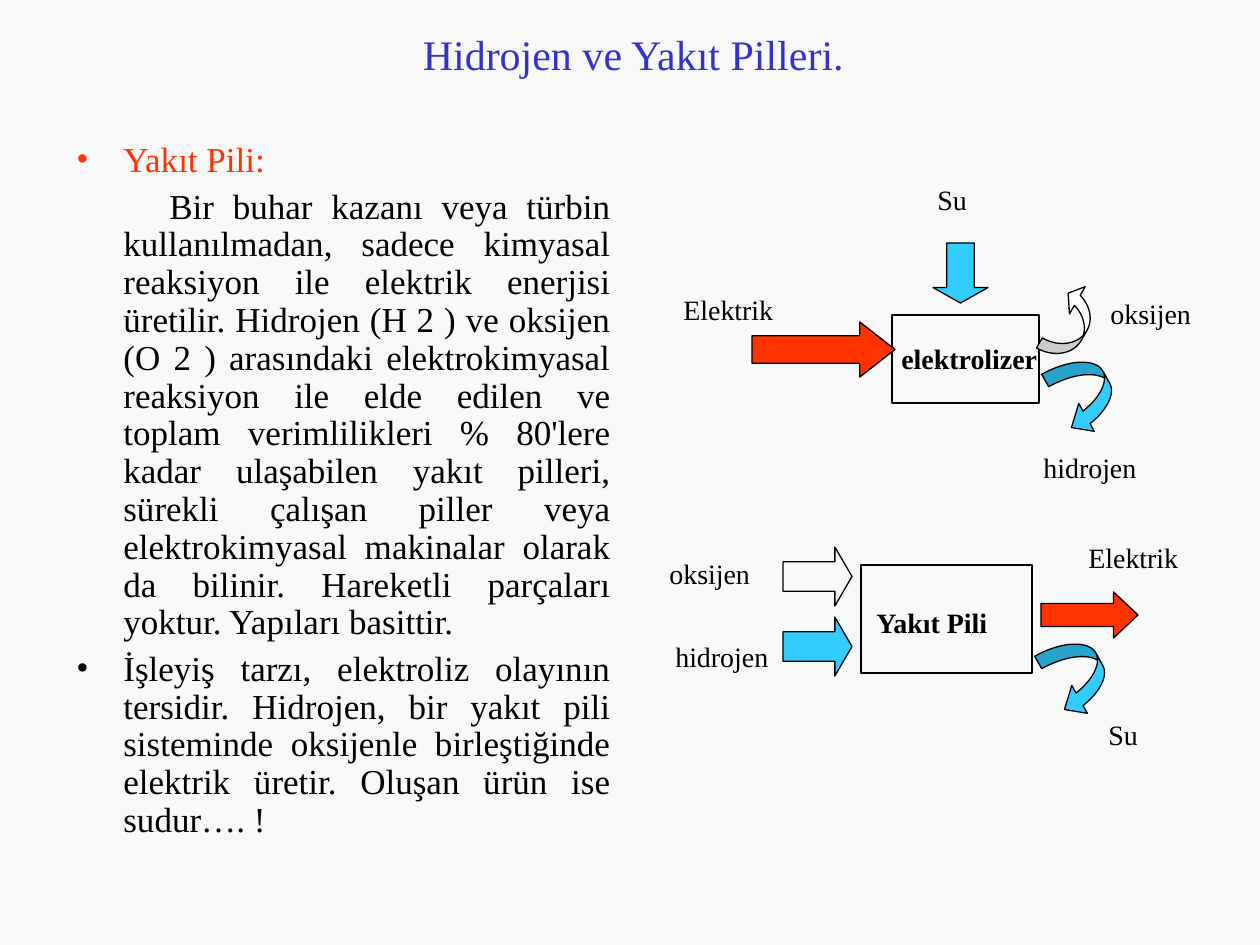
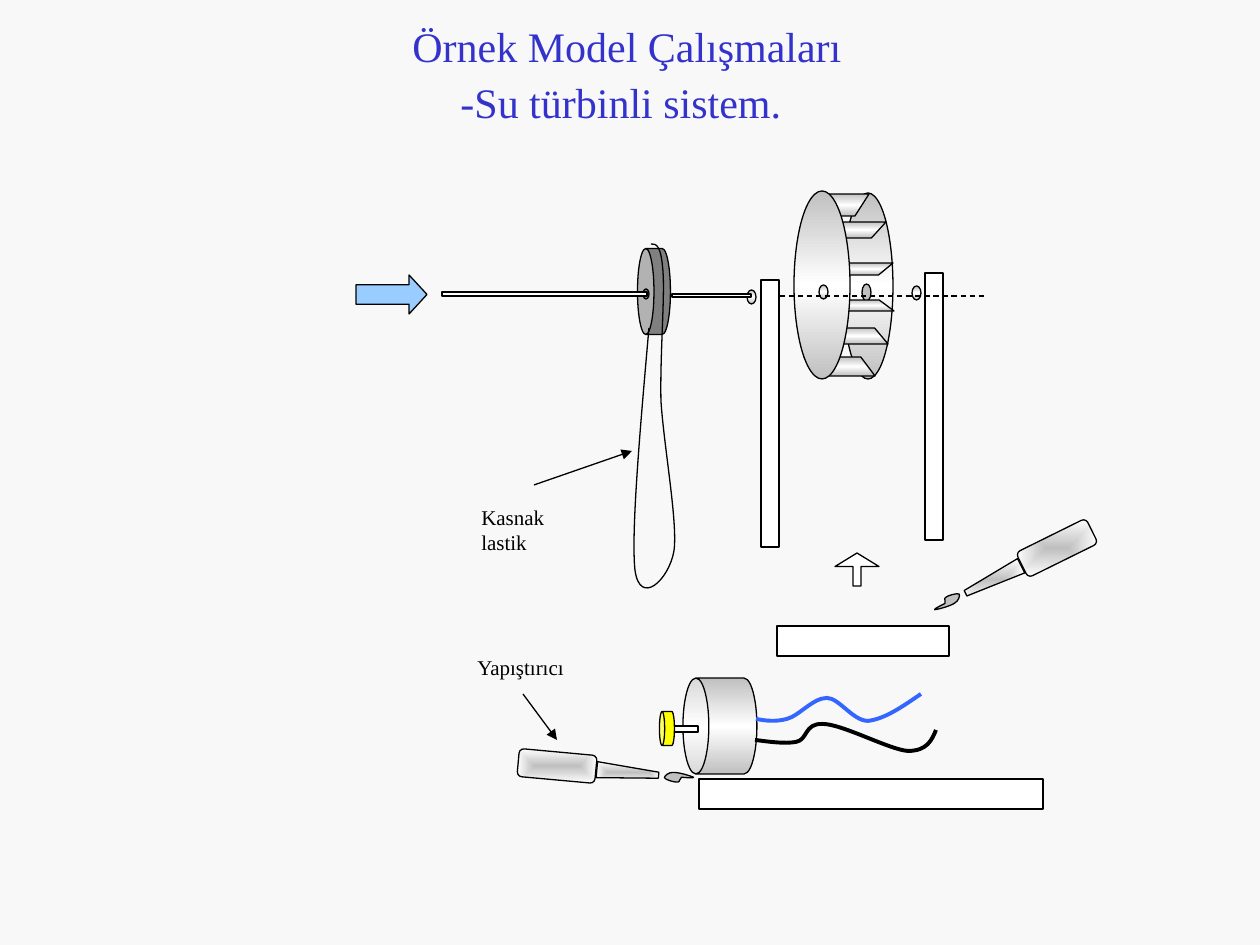
from dataclasses import dataclass
from math import cos, radians, sin
from typing import Any

from pptx import Presentation
from pptx import util as u
from pptx.dml.color import RGBColor
from pptx.enum import dml, shapes, text
from pptx.oxml import parse_xml
from pptx.oxml.ns import nsdecls, qn

SCALE = 914400 / 126
FONT = "Times New Roman"
PAPER = RGBColor(0xF8, 0xF8, 0xF8)
TITLE_BLUE = RGBColor(0x33, 0x33, 0xCC)
BLACK = RGBColor(0, 0, 0)
WHITE = RGBColor(0xFF, 0xFF, 0xFF)
RED = RGBColor(0xFF, 0x33, 0x00)
CYAN = RGBColor(0x33, 0xCC, 0xFF)
PALE_BLUE = RGBColor(0x99, 0xCC, 0xFF)
WIRE_BLUE = RGBColor(0x33, 0x66, 0xFF)
YELLOW = RGBColor(0xFF, 0xFF, 0x00)
SILVER = RGBColor(0xC0, 0xC0, 0xC0)
GREY = RGBColor(0x80, 0x80, 0x80)

KIND = shapes.MSO_SHAPE
METAL = ((0, SILVER), (50, WHITE), (100, SILVER)), '<a:lin ang="5400000" scaled="0"/>'
GLOW = ((0, SILVER), (100, WHITE)), (
    '<a:path path="rect"><a:fillToRect l="50000" t="50000" r="50000" b="50000"/></a:path>')

NOZZLE = [(8, -40), (-8, -40), (-3, -102), (3, -102)]
GLUE_DROP = [
    (-1, -137), (-2, -135, -5, -121, -4, -116), (-4, -112, 0, -108, 2, -108),
    (4, -109, 6, -119, 5, -122), (5, -124, 1, -123, 0, -125), (0, -128, 0, -138, -1, -137)]
BELT = [
    (311, 14), (316, 14, 321, 14, 323, 41), (325, 67, 320, 124, 321, 171),
    (324, 217, 338, 293, 334, 321), (329, 350, 300, 377, 295, 340),
    (291, 303, 300, 200, 309, 98)]
BLUE_WIRE = [
    (116, 59), (126, 61, 136, 62, 147, 59), (159, 56, 173, 38, 187, 38),
    (199, 38, 213, 61, 228, 61), (245, 59, 262, 47, 281, 34)]
BLACK_WIRE = [
    (115, 80), (130, 82, 145, 84, 156, 82), (168, 80, 164, 63, 183, 64),
    (202, 64, 250, 90, 268, 91), (287, 91, 292, 80, 296, 70)]

FUEL_CELL_TEXT = (
    "Bir buhar kazanı veya türbin kullanılmadan, sadece kimyasal reaksiyon ile elektrik "
    "enerjisi üretilir. Hidrojen (H 2 ) ve oksijen (O 2 ) arasındaki elektrokimyasal "
    "reaksiyon ile elde edilen ve toplam verimlilikleri % 80'lere kadar ulaşabilen yakıt "
    "pilleri, sürekli çalışan piller veya elektrokimyasal makinalar olarak da bilinir. "
    "Hareketli parçaları yoktur. Yapıları basittir.")
WORKING_TEXT = (
    "İşleyiş tarzı, elektroliz olayının tersidir. Hidrojen, bir yakıt pili sisteminde "
    "oksijenle birleştiğinde elektrik üretir. Oluşan ürün ise sudur…. !")


def px(length):
    """Turn px into EMU."""
    return u.Emu(round(length * SCALE))


def apply_format(target, values):
    """Set each named value as an attribute of the target."""
    for name, value in values.items():
        setattr(target, name, value)


def add_run(paragraph, words, size, color=BLACK, bold=False):
    """Append a run in the deck font."""
    run = paragraph.add_run()
    run.text = words
    apply_format(run.font, {"name": FONT, "size": u.Pt(size), "bold": bold})
    run.font.color.rgb = color


def bend(shape, path):
    """Turn each six-number segment of a freeform into a cubic curve."""
    corners = iter(list(shape.element.spPr.iter(qn("a:lnTo"))))
    for segment in path[1:]:
        first = next(corners)
        if len(segment) == 6:
            curve = parse_xml(f'<a:cubicBezTo {nsdecls("a")}/>')
            first.addprevious(curve)
            for corner in (first, next(corners), next(corners)):
                curve.append(corner[0])
                corner.getparent().remove(corner)


def paint(shape, fill, line=BLACK, width=0.75):
    """Give a shape its fill and line; a gradient is a pair of stops and geometry."""
    shape.shadow.inherit = False
    if fill is None:
        shape.fill.background()
    elif isinstance(fill, RGBColor):
        shape.fill.solid()
        shape.fill.fore_color.rgb = fill
    else:
        stops, geometry = fill
        shape.fill.gradient()
        stop_xml = "".join(
            f'<a:gs pos="{place * 1000}"><a:srgbClr val="{color}"/></a:gs>'
            for place, color in stops)
        properties = shape.element.spPr
        properties.replace(properties.find(qn("a:gradFill")), parse_xml(
            f'<a:gradFill {nsdecls("a")} rotWithShape="0"><a:gsLst>{stop_xml}</a:gsLst>'
            f'{geometry}</a:gradFill>'))
    shape.line.color.rgb = line
    shape.line.width = u.Pt(width)


@dataclass
class Panel:
    """A region of a slide whose parts are placed from its top left corner."""
    slide: Any
    left: int
    top: int

    def shape(self, kind, box, fill=None, adjust=(), rotation=0, flip=False):
        """Add a preset shape."""
        left, top, width, height = box
        shape = self.slide.shapes.add_shape(
            kind, px(self.left + left), px(self.top + top), px(width), px(height))
        for index, value in enumerate(adjust):
            shape.adjustments[index] = value
        shape.rotation = rotation
        if flip:
            shape.element.spPr.find(qn("a:xfrm")).set("flipV", "1")
        paint(shape, fill)

    def outline(self, path, fill=None, angle=0, closed=True, line=BLACK, width=0.75):
        """Add a freeform of lines and curves, turned about the panel's corner."""
        points = [(px(self.left + x), px(self.top + y)) for segment in path
                  for x, y in zip(segment[::2], segment[1::2])]
        builder = self.slide.shapes.build_freeform(*points[0], scale=1.0)
        builder.add_line_segments(points[1:], close=closed)
        shape = builder.convert_to_shape()
        bend(shape, path)
        paint(shape, fill, line, width)
        if angle:
            c, s = cos(radians(angle)), sin(radians(angle))
            x = shape.left + shape.width / 2 - px(self.left)
            y = shape.top + shape.height / 2 - px(self.top)
            apply_format(shape, {
                "left": u.Emu(round(px(self.left) + x * c - y * s - shape.width / 2)),
                "top": u.Emu(round(px(self.top) + x * s + y * c - shape.height / 2)),
                "rotation": angle})

    def label(self, words, left, top, width, size=16, bold=False, height=47):
        """Add a text label."""
        box = self.slide.shapes.add_textbox(
            px(self.left + left), px(self.top + top), px(width), px(height))
        box.text_frame.word_wrap = True
        add_run(box.text_frame.paragraphs[0], words, size, bold=bold)

    def line(self, start, end, arrow=False, dashed=False):
        """Add a straight line."""
        ends = [px(v) for x, y in (start, end) for v in (self.left + x, self.top + y)]
        connector = self.slide.shapes.add_connector(shapes.MSO_CONNECTOR.STRAIGHT, *ends)
        connector.line.color.rgb = BLACK
        connector.line.width = u.Pt(0.75)
        if dashed:
            connector.line.dash_style = dml.MSO_LINE.DASH
        properties = connector.element.spPr
        if arrow:
            properties.find(qn("a:ln")).append(
                parse_xml(f'<a:tailEnd {nsdecls("a")} type="triangle"/>'))
        properties.append(parse_xml(f'<a:effectLst {nsdecls("a")}/>'))


def add_titled_slide(presentation, lines, box):
    """Add a title-only slide and format its title."""
    slide = presentation.slides.add_slide(presentation.slide_layouts[5])
    title = slide.shapes.title
    apply_format(title, dict(zip(("left", "top", "width", "height"), map(px, box))))
    frame = title.text_frame
    apply_format(frame, {"auto_size": text.MSO_AUTO_SIZE.NONE, "word_wrap": True,
                         "vertical_anchor": text.MSO_ANCHOR.MIDDLE})
    paragraph = frame.paragraphs[0]
    apply_format(paragraph, {"alignment": text.PP_ALIGN.CENTER, "line_spacing": u.Pt(33)})
    for index, words in enumerate(lines):
        if index:
            paragraph.add_line_break()
            paragraph._p.findall(qn("a:br"))[-1].append(
                parse_xml(f'<a:rPr {nsdecls("a")} sz="2800"/>'))
        add_run(paragraph, words, 24, TITLE_BLUE)
    add_run(paragraph, " ", 28, TITLE_BLUE)
    return slide


def add_explanation(slide, left, top, width, height):
    """Add the justified text about the fuel cell."""
    frame = slide.shapes.add_textbox(px(left), px(top), px(width), px(height)).text_frame
    frame.word_wrap = True
    items = (("Yakıt Pili:", RED, True), (FUEL_CELL_TEXT, BLACK, False),
             (WORKING_TEXT, BLACK, True))
    for index, (words, color, bulleted) in enumerate(items):
        paragraph = frame.add_paragraph() if index else frame.paragraphs[0]
        properties = paragraph._p.get_or_add_pPr()
        properties.set("marL", str(px(47)))
        properties.set("indent", str(px(-47 if bulleted else 46)))
        if bulleted:
            for xml in (f'<a:buClr {nsdecls("a")}><a:srgbClr val="{color}"/></a:buClr>',
                        f'<a:buFont {nsdecls("a")} typeface="{FONT}"/>',
                        f'<a:buChar {nsdecls("a")} char="•"/>'):
                properties.append(parse_xml(xml))
        apply_format(paragraph, {"alignment": text.PP_ALIGN.JUSTIFY, "line_spacing": 0.9,
                                 "space_before": u.Pt(5 if index else 0)})
        add_run(paragraph, words, 20, color)


def add_water_arrow(panel, left, top):
    """Add the blue arrow that bends downwards."""
    panel.shape(KIND.CURVED_DOWN_ARROW, (left, top, 77, 55), CYAN, (0.26, 0.58, 0.33), 60.8)


def add_electrolyser(panel):
    """Draw the electrolyser with its inputs and outputs."""
    panel.label("elektrolizer", 229, 165, 179, bold=True)
    panel.shape(KIND.RECTANGLE, (232, 145, 147, 88))
    panel.shape(KIND.RIGHT_ARROW, (92, 152, 143, 55), RED, (0.5, 0.64))
    panel.shape(KIND.DOWN_ARROW, (273, 73, 55, 60), CYAN, (0.5, 0.28))
    panel.shape(KIND.CURVED_UP_ARROW, (372, 135, 79, 35), WHITE, (0.33, 0.9, 0.33), 300)
    add_water_arrow(panel, 386, 197)
    for label in (("Su", 265, 6, 79), ("Elektrik", 11, 116, 150),
                  ("oksijen", 438, 120, 116), ("hidrojen", 371, 274, 179)):
        panel.label(*label)


def add_fuel_cell(panel):
    """Draw the fuel cell with its inputs and outputs."""
    panel.label("Yakıt Pili", 214, 69, 179, bold=True)
    panel.shape(KIND.RECTANGLE, (211, 35, 171, 108))
    panel.shape(KIND.RIGHT_ARROW, (391, 62, 97, 46), RED, (0.5, 0.53))
    for top, fill in ((17, None), (87, CYAN)):
        panel.shape(KIND.RIGHT_ARROW, (133, top, 69, 59), fill, (0.5, 0.29))
    add_water_arrow(panel, 389, 119)
    for label in (("oksijen", 7, 20, 116), ("hidrojen", 13, 103, 179),
                  ("Elektrik", 426, 4, 150), ("Su", 446, 181, 79)):
        panel.label(*label)


def add_glue_tube(panel, angle):
    """Draw a glue tube centred on the panel's corner, turned from pointing upwards."""
    panel.shape(KIND.ROUNDED_RECTANGLE, (-14, -39, 28, 78), GLOW, (0.17,), angle)
    panel.outline(NOZZLE, GLOW, angle)
    panel.outline(GLUE_DROP, SILVER, angle)


def add_water_wheel(panel):
    """Draw the bladed wheel, its posts and its base."""
    panel.shape(KIND.RECTANGLE, (37, 446, 172, 30), WHITE)
    panel.shape(KIND.OVAL, (103, 13, 50, 186), METAL)
    panel.shape(KIND.OVAL, (122, 104, 9, 17), SILVER)
    for left, top, height, slant in ((71, 14, 22, 0.64), (88, 42, 16, 0.91), (95, 83, 12, 1.2)):
        panel.shape(KIND.PARALLELOGRAM, (left, top, 58, height), METAL, (slant,))
    for box in ((80, 120, 74, 11), (64, 177, 71, 19), (81, 148, 67, 16)):
        panel.shape(KIND.FLOWCHART_DATA, box, METAL, flip=True)
    for left, top in ((21, 100), (185, 93)):
        panel.shape(KIND.RECTANGLE, (left, top, 18, 267), WHITE)
    panel.shape(KIND.UP_ARROW, (95, 373, 44, 33), WHITE, (0.18, 0.41))
    panel.shape(KIND.OVAL, (54, 11, 56, 188), METAL)
    for left, top in ((7, 110), (172, 106), (79, 105)):
        panel.shape(KIND.OVAL, (left, top, 9, 14), METAL)
    panel.line((40, 116), (246, 116), dashed=True)


def add_pulley(panel):
    """Draw the pulley on its shaft with the rubber belt."""
    panel.shape(KIND.CAN, (271, 45, 86, 33), GREY, (0.5,), 270)
    panel.shape(KIND.OVAL, (303, 59, 6, 10), GREY)
    for box in ((102, 62, 205, 4), (332, 64, 79, 3)):
        panel.shape(KIND.RECTANGLE, box, WHITE)
    panel.shape(KIND.RIGHT_ARROW, (16, 45, 71, 39), PALE_BLUE, (0.5, 0.46))
    panel.outline(BELT, closed=False)
    panel.label("Kasnak lastik", 129, 268, 127, size=12, height=68)
    panel.line((194, 255), (292, 221), arrow=True)


def add_motor(panel):
    """Draw the motor with its spindle, wires and base."""
    panel.shape(KIND.RECTANGLE, (59, 119, 344, 30), WHITE)
    panel.shape(KIND.CAN, (32, 29, 96, 74), METAL, (0.35,), 270)
    panel.shape(KIND.RECTANGLE, (28, 66, 30, 6), WHITE)
    panel.shape(KIND.CAN, (10, 61, 34, 15), YELLOW, (0.35,), 270)
    for path, color in ((BLUE_WIRE, WIRE_BLUE), (BLACK_WIRE, BLACK)):
        panel.outline(path, closed=False, line=color, width=2.25)


def add_glue_note(panel):
    """Label the glue tube beside the motor."""
    panel.label("Yapıştırıcı", 10, 8, 127, size=12, height=68)
    panel.line((68, 54), (102, 100), arrow=True)


def main():
    """Build both slides and save them."""
    presentation = Presentation()
    presentation.slide_width, presentation.slide_height = px(1260), px(945)
    background = presentation.slide_master.background.fill
    background.solid()
    background.fore_color.rgb = PAPER

    slide = add_titled_slide(presentation, ["Hidrojen ve Yakıt Pilleri."], (104, 36, 1071, 30))
    add_explanation(slide, 64, 136, 559, 723)
    add_electrolyser(Panel(slide, 660, 170))
    add_fuel_cell(Panel(slide, 650, 530))

    slide = add_titled_slide(
        presentation, ["Örnek Model Çalışmaları", "-Su türbinli sistem."], (79, 33, 1096, 76))
    add_glue_tube(Panel(slide, 1057, 548), 243.7)
    add_water_wheel(Panel(slide, 740, 180))
    add_pulley(Panel(slide, 340, 230))
    add_motor(Panel(slide, 640, 660))
    add_glue_tube(Panel(slide, 557, 766), 95.2)
    add_glue_note(Panel(slide, 455, 640))
    presentation.save("out.pptx")


if __name__ == "__main__":
    main()
